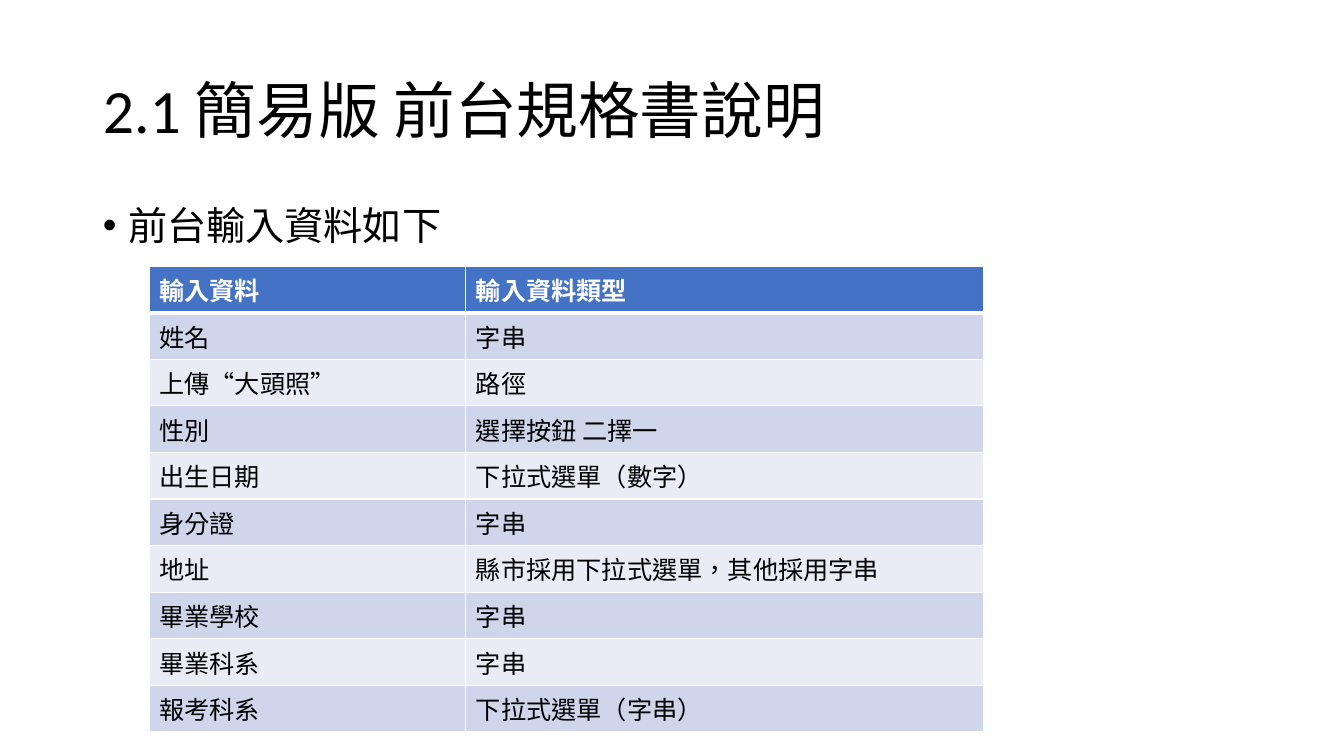
from lxml import etree
from pptx import Presentation
from pptx.dml.color import RGBColor
from pptx.enum.lang import MSO_LANGUAGE_ID
from pptx.enum.text import MSO_ANCHOR, MSO_AUTO_SIZE, PP_ALIGN
from pptx.oxml.ns import qn
from pptx.util import Pt

EMU_PER_PX = 9144
LEFT, TOP, MIDDLE = PP_ALIGN.LEFT, MSO_ANCHOR.TOP, MSO_ANCHOR.MIDDLE
NO_AUTOFIT = MSO_AUTO_SIZE.NONE
CHINESE = MSO_LANGUAGE_ID.TRADITIONAL_CHINESE
FONT = "Calibri"
COLORS = {
    "text": "000000",
    "white": "FFFFFF",
    "header": "4472C4",
    "odd": "CFD5EA",
    "even": "E9EBF5",
}
TITLE_BOX = (92, 40, 1150, 145)
BODY_BOX = (92, 200, 1150, 550)
TABLE_BOX = (148, 264, 828, 410)
COLUMN_WIDTHS = (314, 514)
FIELDS = [
    ("輸入資料", "輸入資料類型"),
    ("姓名", "字串"),
    ("上傳“大頭照”", "路徑"),
    ("性別", "選擇按鈕 二擇一"),
    ("出生日期", "下拉式選單（數字）"),
    ("身分證", "字串"),
    ("地址", "縣市採用下拉式選單，其他採用字串"),
    ("畢業學校", "字串"),
    ("畢業科系", "字串"),
    ("報考科系", "下拉式選單（字串）"),
]


def px(length):
    """Turn whole pixels into EMU."""
    return length * EMU_PER_PX


def set_attributes(target, values):
    """Set every attribute named in a dict of format values."""
    for name, value in values.items():
        setattr(target, name, value)


def write_text(para, text, size, color="text", bold=False):
    """Add one formatted span to a paragraph."""
    span = para.add_run()
    span.text = text
    set_attributes(span.font, {"name": FONT, "size": Pt(size), "bold": bold,
                               "language_id": CHINESE})
    span.font.color.rgb = RGBColor.from_string(COLORS[color])


def fill_placeholder(holder, box, text, size, anchor, space_before=0):
    """Move a placeholder into its box and write its single paragraph."""
    set_attributes(holder, dict(zip(("left", "top", "width", "height"), map(px, box))))
    set_attributes(holder.text_frame, {"vertical_anchor": anchor, "word_wrap": True,
                                       "auto_size": NO_AUTOFIT})
    para = holder.text_frame.paragraphs[0]
    set_attributes(para, {"alignment": LEFT, "line_spacing": 0.9,
                          "space_before": Pt(space_before)})
    write_text(para, text, size)
    return para


def add_title(page, box):
    """Write the page title."""
    fill_placeholder(page.shapes.title, box, "2.1 簡易版 前台規格書說明", 44, MIDDLE)


def add_body(page, box):
    """Write the bulleted lead-in to the table."""
    para = fill_placeholder(page.placeholders[1], box, "前台輸入資料如下", 28, TOP, 10)
    properties = para._p.get_or_add_pPr()
    properties.set("marL", str(px(25)))
    properties.set("indent", str(-px(25)))
    etree.SubElement(properties, qn("a:buChar")).set("char", "•")


def set_borders(cell, widths):
    """Draw white cell borders with widths in points, by side."""
    properties = cell._tc.get_or_add_tcPr()
    for index, (side, width) in enumerate(widths.items()):
        line = etree.Element(qn(f"a:ln{side}"), w=str(Pt(width)))
        solid = etree.SubElement(line, qn("a:solidFill"))
        etree.SubElement(solid, qn("a:srgbClr")).set("val", COLORS["white"])
        properties.insert(index, line)


def add_field_table(page, box):
    """Build the table of input fields and their types."""
    table = page.shapes.add_table(len(FIELDS), len(COLUMN_WIDTHS), *map(px, box)).table
    for column, width in zip(table.columns, COLUMN_WIDTHS):
        column.width = px(width)
    for row, texts in enumerate(FIELDS):
        header = row == 0
        fill = "header" if header else ("even", "odd")[row % 2]
        borders = {"L": 1, "R": 1, "T": 3 if row == 1 else 1, "B": 3 if header else 1}
        for column, text in enumerate(texts):
            cell = table.cell(row, column)
            cell.fill.solid()
            cell.fill.fore_color.rgb = RGBColor.from_string(COLORS[fill])
            set_borders(cell, borders)
            write_text(cell.text_frame.paragraphs[0], text, 18,
                       "white" if header else "text", header)


def main():
    """Build and save the deck."""
    deck = Presentation()
    set_attributes(deck, {"slide_width": px(1333), "slide_height": px(750)})
    page = deck.slides.add_slide(deck.slide_layouts[1])
    add_title(page, TITLE_BOX)
    add_body(page, BODY_BOX)
    add_field_table(page, TABLE_BOX)
    deck.save("out.pptx")


if __name__ == "__main__":
    main()
